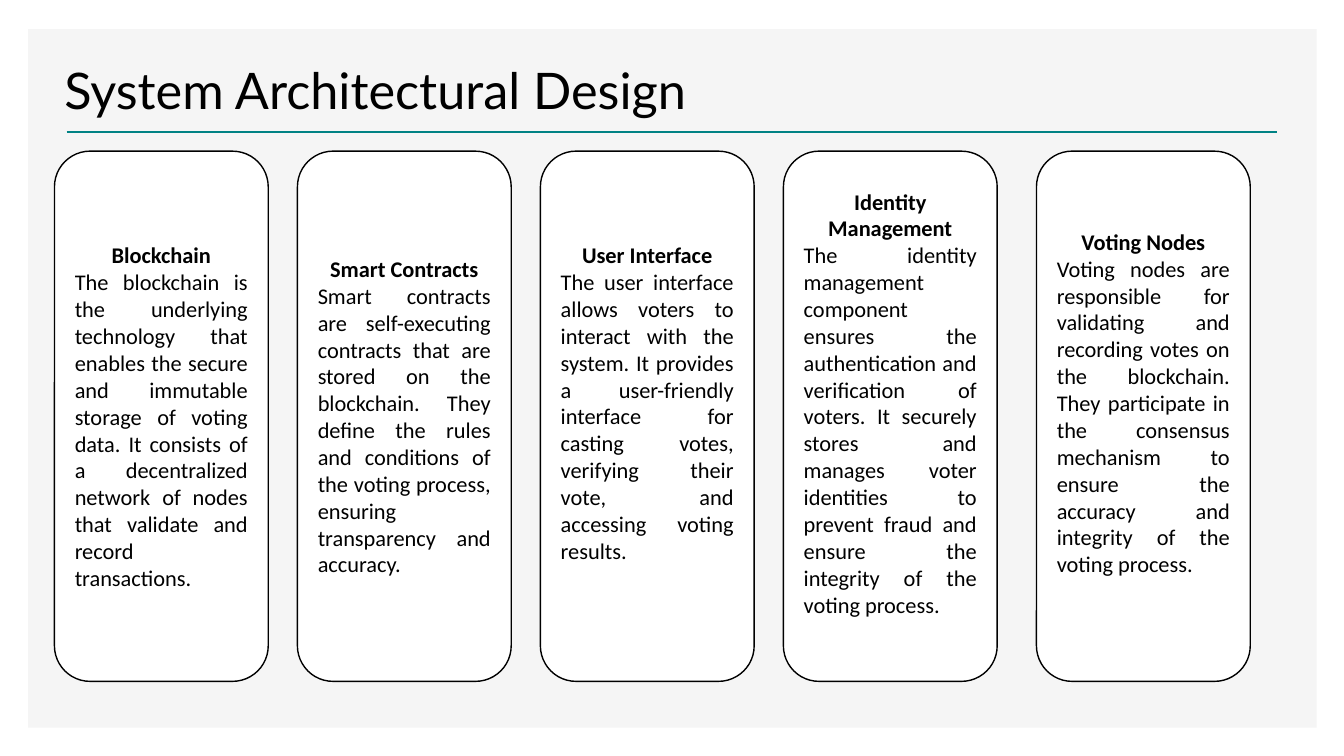
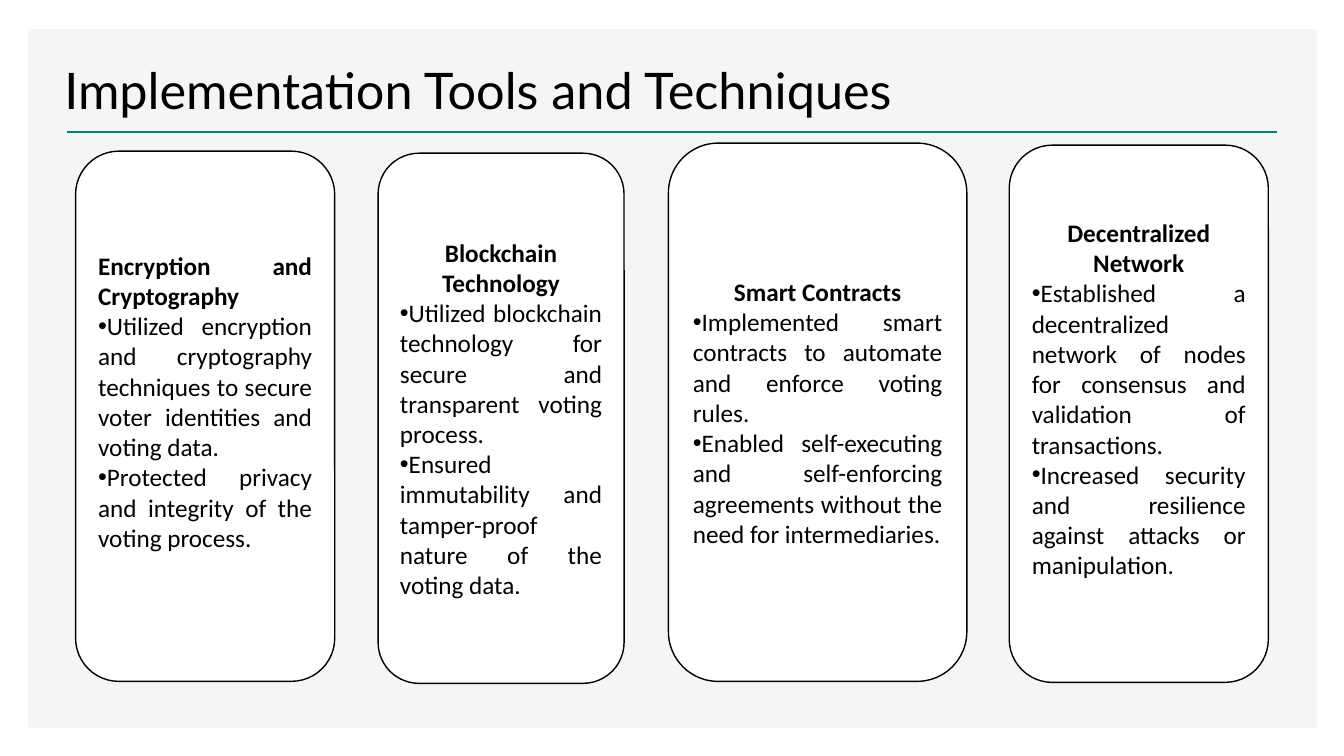
from lxml.etree import SubElement
from pptx import Presentation
from pptx.dml.color import RGBColor
from pptx.enum.shapes import MSO_CONNECTOR, MSO_SHAPE
from pptx.enum.text import MSO_ANCHOR as ANCHOR, PP_ALIGN as ALIGN
from pptx.oxml.ns import qn
from pptx.util import Inches, Pt

COLORS = {"panel": "F5F5F5", "rule": "008284", "card": "FFFFFF", "ink": "000000"}


class Deck:
    """Holds the shared style and the current slide."""

    def __init__(self):
        self.prs = Presentation()
        self.prs.slide_width = Inches(13.33)
        self.prs.slide_height = Inches(7.5)
        self.slide = None

    def color(self, name):
        return RGBColor.from_string(COLORS[name])

    def new_slide(self, title):
        self.slide = self.prs.slides.add_slide(self.prs.slide_layouts[6])
        self.shape(MSO_SHAPE.RECTANGLE, 0.28, 0.29, 12.78, 6.93, "panel")
        self.rule(0.66, 12.67, 1.31)
        self.title(title)

    def shape(self, kind, left, top, width, height, fill, line=None):
        sp = self.slide.shapes.add_shape(
            kind, Inches(left), Inches(top), Inches(width), Inches(height))
        sp.shadow.inherit = False
        sp.fill.solid()
        sp.fill.fore_color.rgb = self.color(fill)
        if line:
            sp.line.color.rgb = self.color(line)
            sp.line.width = Pt(1)
        else:
            sp.line.fill.background()
        return sp

    def rule(self, x1, x2, y):
        line = self.slide.shapes.add_connector(
            MSO_CONNECTOR.STRAIGHT, Inches(x1), Inches(y), Inches(x2), Inches(y))
        line.line.color.rgb = self.color("rule")
        line.line.width = Pt(2)
        SubElement(line._element.spPr, qn("a:effectLst"))

    def run(self, p, text, size, font="Calibri", bold=False):
        r = p.add_run()
        r.text = text
        r.font.name = font
        r.font.size = Pt(size)
        r.font.bold = bold
        r.font.color.rgb = self.color("ink")

    def title(self, text):
        box = self.slide.shapes.add_textbox(
            Inches(0.54), Inches(0.36), Inches(12.26), Inches(0.88))
        tf = box.text_frame
        tf.word_wrap = True
        tf.vertical_anchor = ANCHOR.BOTTOM
        p = tf.paragraphs[0]
        p.line_spacing = 0.9
        self.run(p, text, 36, "Lato")

    def bullet(self, p):
        pPr = p._p.get_or_add_pPr()
        pPr.set("marL", "0")
        pPr.set("indent", "0")
        SubElement(pPr, qn("a:buFont")).set("typeface", "Arial")
        SubElement(pPr, qn("a:buChar")).set("char", "•")

    def card(self, box, heading, body, size, lift=0, bullets=False,
             heading_align=ALIGN.CENTER):
        sp = self.shape(MSO_SHAPE.ROUNDED_RECTANGLE, *box, "card", "ink")
        tf = sp.text_frame
        tf.word_wrap = True
        tf.vertical_anchor = ANCHOR.MIDDLE
        tf.margin_bottom = Inches(0.05 + lift)
        p = tf.paragraphs[0]
        p.alignment = heading_align
        self.run(p, heading, size, bold=True)
        for text in body:
            p = tf.add_paragraph()
            p.alignment = ALIGN.JUSTIFY
            if bullets:
                self.bullet(p)
            self.run(p, text, size)


COMPONENTS = [
    ("Blockchain", 0,
     "The blockchain is the underlying technology that enables the secure and "
     "immutable storage of voting data. It consists of a decentralized network "
     "of nodes that validate and record transactions."),
    ("Smart Contracts", 0,
     "Smart contracts are self-executing contracts that are stored on the "
     "blockchain. They define the rules and conditions of the voting process, "
     "ensuring transparency and accuracy."),
    ("User Interface", 0.27,
     "The user interface allows voters to interact with the system. It provides "
     "a user-friendly interface for casting votes, verifying their vote, and "
     "accessing voting results."),
    ("Identity Management", 0.27,
     "The identity management component ensures the authentication and "
     "verification of voters. It securely stores and manages voter identities "
     "to prevent fraud and ensure the integrity of the voting process."),
    ("Voting Nodes", 0.27,
     "Voting nodes are responsible for validating and recording votes on the "
     "blockchain. They participate in the consensus mechanism to ensure the "
     "accuracy and integrity of the voting process."),
]

TECHNIQUES = [
    ((0.75, 1.5, 2.57, 5.26), "Encryption and Cryptography", 0.3, ALIGN.JUSTIFY,
     ["Utilized encryption and cryptography techniques to secure voter "
      "identities and voting data.",
      "Protected privacy and integrity of the voting process."]),
    ((3.75, 1.52, 2.44, 5.26), "Blockchain Technology", 0, ALIGN.CENTER,
     ["Utilized blockchain technology for secure and transparent voting process.",
      "Ensured immutability and tamper-proof nature of the voting data."]),
    ((6.63, 1.42, 2.96, 5.34), "Smart Contracts", 0, ALIGN.CENTER,
     ["Implemented smart contracts to automate and enforce voting rules.",
      "Enabled self-executing and self-enforcing agreements without the need "
      "for intermediaries."]),
    ((10.01, 1.44, 2.57, 5.33), "Decentralized Network", 0.3, ALIGN.CENTER,
     ["Established a decentralized network of nodes for consensus and "
      "validation of transactions.",
      "Increased security and resilience against attacks or manipulation."]),
]


def main():
    deck = Deck()

    deck.new_slide("System Architectural Design")
    lefts = [0.54 + 2.41 * i for i in range(4)] + [10.28]
    for left, (heading, lift, text) in zip(lefts, COMPONENTS):
        deck.card((left, 1.5, 2.12, 5.26), heading, [text], 16, lift)

    deck.new_slide("Implementation Tools and Techniques")
    for box, heading, lift, align, points in TECHNIQUES:
        deck.card(box, heading, points, 18, lift, True, align)

    deck.prs.save("out.pptx")


if __name__ == "__main__":
    main()
